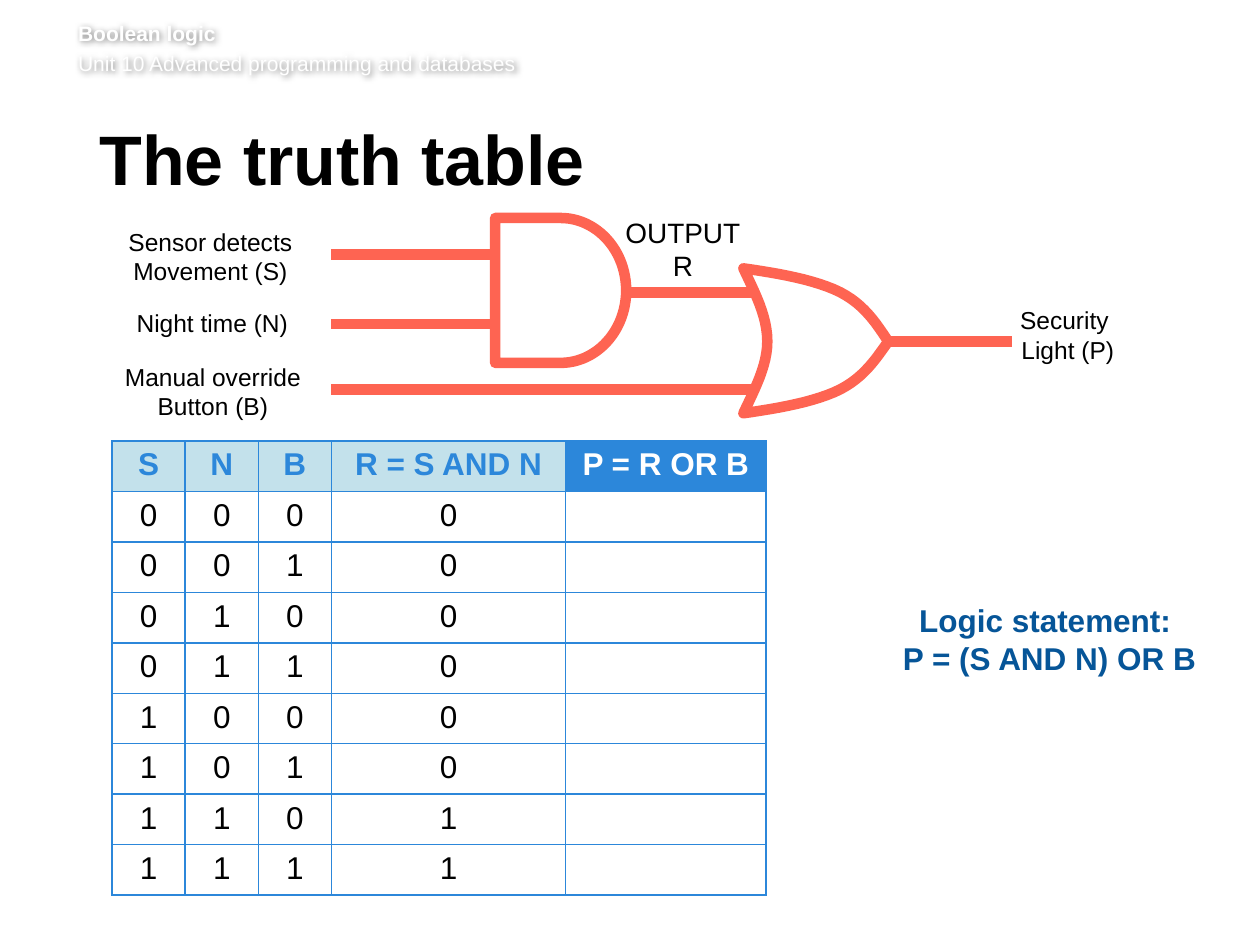
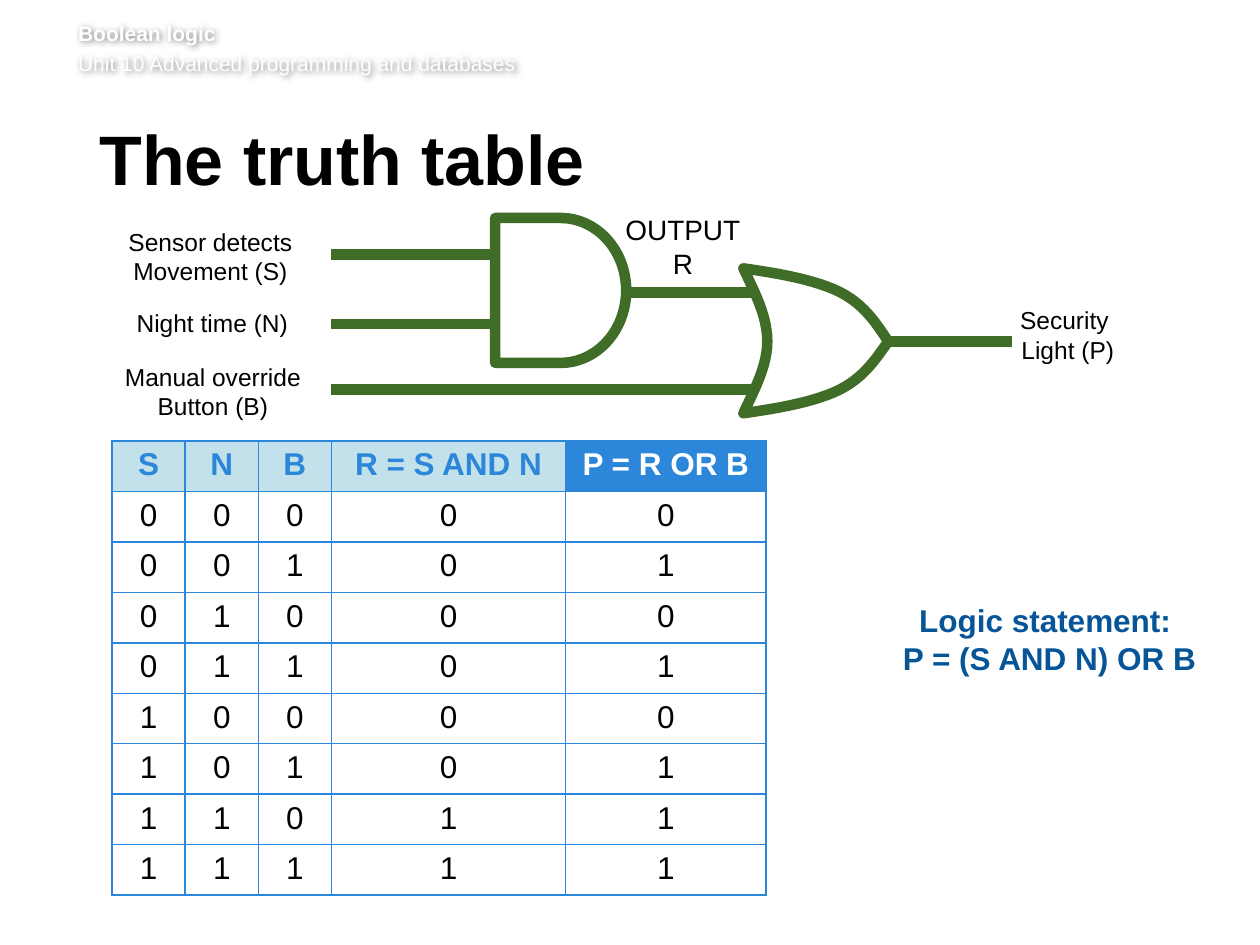
from itertools import product

from lxml.etree import SubElement
from pptx import Presentation
from pptx.dml.color import RGBColor
from pptx.enum.shapes import MSO_CONNECTOR, MSO_SHAPE
from pptx.enum.text import MSO_ANCHOR, MSO_AUTO_SIZE, PP_ALIGN
from pptx.oxml import parse_xml
from pptx.oxml.ns import nsdecls, qn
from pptx.util import Inches, Pt

COLORS = {
    "white": "FFFFFF",
    "black": "000000",
    "statement": "065598",
    "grid": "2C87DA",
    "input_head": "C3E1EB",
    "question": "FE6452",
    "answer": "3F6C27",
}
FONT = "Arial"

HEADINGS = ["S", "N", "B", "R = S AND N", "P = R OR B"]
COLUMN_WIDTHS = [0.58, 0.58, 0.58, 1.86, 1.59]
ROW_HEIGHT = 0.4

WIRES = [
    (2.63, 3.92, 2.02),
    (2.63, 3.92, 2.57),
    (2.63, 5.99, 3.09),
    (4.97, 5.99, 2.32),
    (7.05, 8.03, 2.71),
]
OR_GATE_CURVES = [
    [(5.9, 2.13), (6.18, 2.17), (6.47, 2.22), (6.67, 2.32)],
    [(6.67, 2.32), (6.86, 2.42), (6.95, 2.56), (7.05, 2.71)],
    [(7.05, 2.71), (6.95, 2.85), (6.86, 2.99), (6.67, 3.09)],
    [(6.67, 3.09), (6.47, 3.19), (6.18, 3.24), (5.9, 3.28)],
    [(5.9, 3.28), (5.99, 3.09), (6.09, 2.9), (6.09, 2.71)],
    [(6.09, 2.71), (6.09, 2.51), (5.99, 2.32), (5.9, 2.13)],
]
CURVE_STEPS = 12
LABELS = [
    ("Sensor detects\nMovement (S)", 0.86, 1.7, 1.62, 0.67),
    ("Night time (N)", 0.79, 2.39, 1.79, 0.34),
    ("Manual override \nButton (B)", 0.89, 2.83, 1.6, 0.55),
    ("Security \nLight (P)", 7.89, 2.32, 1.17, 0.67),
]


def style_text(frame, size, color, bold=False, align=PP_ALIGN.CENTER):
    for paragraph in frame.paragraphs:
        paragraph.alignment = align
        for run in paragraph.runs:
            run.font.name = FONT
            run.font.size = Pt(size)
            run.font.bold = bold
            run.font.color.rgb = RGBColor.from_string(COLORS[color])


def add_label(slide, text, left, top, width, height, size, color="black", bold=False):
    label = slide.shapes.add_textbox(Inches(left), Inches(top), Inches(width), Inches(height))
    label.text_frame.word_wrap = False
    label.text_frame.text = text
    style_text(label.text_frame, size, color, bold)
    return label


prs = Presentation()
prs.slide_width = Inches(10)
prs.slide_height = Inches(7.5)

for gate_color, show_answers, output_top in [("question", False, 1.66), ("answer", True, 1.64)]:
    slide = prs.slides.add_slide(prs.slide_layouts[5])
    circuit_rgb = RGBColor.from_string(COLORS[gate_color])

    unit_header = slide.shapes.add_textbox(Inches(0.62), Inches(0.16), Inches(8.82), Inches(0.49))
    header_frame = unit_header.text_frame
    header_frame.word_wrap = True
    header_frame.margin_left = header_frame.margin_right = header_frame.margin_top = 0
    header_frame.text = "Boolean logic\nUnit 10 Advanced programming and databases"
    style_text(header_frame, 12, "white", align=PP_ALIGN.LEFT)
    header_frame.paragraphs[0].runs[0].font.bold = True
    header_frame.paragraphs[1].space_before = Pt(2.9)
    unit_header._element.spPr.append(parse_xml(
        f'<a:effectLst {nsdecls("a")}><a:outerShdw blurRad="50800" dist="12700" dir="2700000">'
        f'<a:srgbClr val="{COLORS["black"]}"><a:alpha val="50000"/></a:srgbClr>'
        '</a:outerShdw></a:effectLst>'))

    title = slide.shapes.title
    title.left, title.top = Inches(0.79), Inches(0.99)
    title.width, title.height = Inches(8.55), Inches(0.73)
    title.text_frame.text = "The truth table"
    title.text_frame.margin_left = 0
    title.text_frame.vertical_anchor = MSO_ANCHOR.TOP
    title.text_frame.auto_size = MSO_AUTO_SIZE.NONE
    title.text_frame.paragraphs[0].line_spacing = Pt(39)
    style_text(title.text_frame, 40, "black", True, PP_ALIGN.LEFT)

    add_label(slide, "Logic statement: \nP = (S AND N) OR B", 7.05, 4.72, 2.56, 0.71,
              18, "statement", True)

    truth_rows = [HEADINGS]
    for s, n, b in product((0, 1), repeat=3):
        r = s & n
        truth_rows.append([s, n, b, r, r | b if show_answers else ""])
    truth_table = slide.shapes.add_table(
        len(truth_rows), len(HEADINGS), Inches(0.89), Inches(3.5),
        Inches(sum(COLUMN_WIDTHS)), Inches(ROW_HEIGHT * len(truth_rows))).table
    truth_table.first_row = truth_table.horz_banding = False
    for column, width in zip(truth_table.columns, COLUMN_WIDTHS):
        column.width = Inches(width)
    for row_index, values in enumerate(truth_rows):
        truth_table.rows[row_index].height = Inches(ROW_HEIGHT)
        for column_index, value in enumerate(values):
            is_head = row_index == 0
            is_output_head = is_head and column_index == len(HEADINGS) - 1
            if is_output_head:
                fill, ink = "grid", "white"
            elif is_head:
                fill, ink = "input_head", "grid"
            else:
                fill, ink = "white", "black"
            cell = truth_table.cell(row_index, column_index)
            cell.text_frame.text = str(value)
            style_text(cell.text_frame, 18, ink, is_head)
            cell_properties = cell._tc.get_or_add_tcPr()
            for side in ("lnL", "lnR", "lnT", "lnB"):
                border = SubElement(cell_properties, qn(f"a:{side}"), w=str(Pt(1)))
                border_fill = SubElement(border, qn("a:solidFill"))
                SubElement(border_fill, qn("a:srgbClr"), val=COLORS["grid"])
            cell.fill.solid()
            cell.fill.fore_color.rgb = RGBColor.from_string(COLORS[fill])

    for start, end, y in WIRES:
        wire = slide.shapes.add_connector(
            MSO_CONNECTOR.STRAIGHT, Inches(start), Inches(y), Inches(end), Inches(y))
        wire.line.color.rgb = circuit_rgb
        wire.line.width = Pt(6)
        SubElement(wire._element.spPr, qn("a:effectLst"))

    outline = []
    for p0, p1, p2, p3 in OR_GATE_CURVES:
        for step in range(1, CURVE_STEPS + 1):
            t = step / CURVE_STEPS
            u = 1 - t
            outline.append(tuple(
                Inches(u**3 * a + 3 * u**2 * t * b + 3 * u * t**2 * c + t**3 * d)
                for a, b, c, d in zip(p0, p1, p2, p3)))
    or_builder = slide.shapes.build_freeform(*outline[-1])
    or_builder.add_line_segments(outline, close=True)
    or_gate = or_builder.convert_to_shape()
    and_gate = slide.shapes.add_shape(
        MSO_SHAPE.FLOWCHART_DELAY, Inches(3.93), Inches(1.73), Inches(1.04), Inches(1.15))
    for gate in (or_gate, and_gate):
        gate.shadow.inherit = False
        gate.fill.background()
        gate.line.color.rgb = circuit_rgb
        gate.line.width = Pt(6)

    for text, left, top, width, height in LABELS:
        label = add_label(slide, text, left, top, width, height, 14)
        label.text_frame.vertical_anchor = MSO_ANCHOR.MIDDLE
    add_label(slide, "OUTPUT\nR", 4.86, output_top, 1.12, 0.64, 16)

prs.save("out.pptx")
